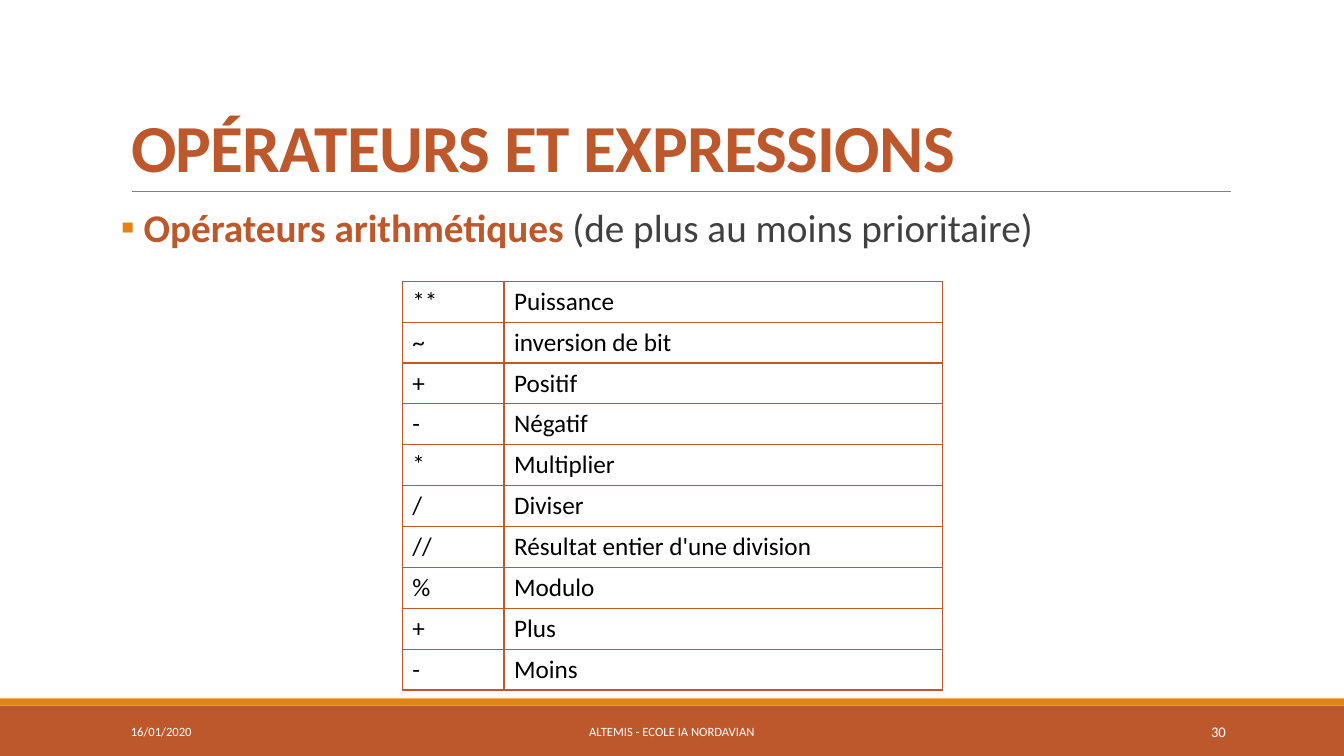
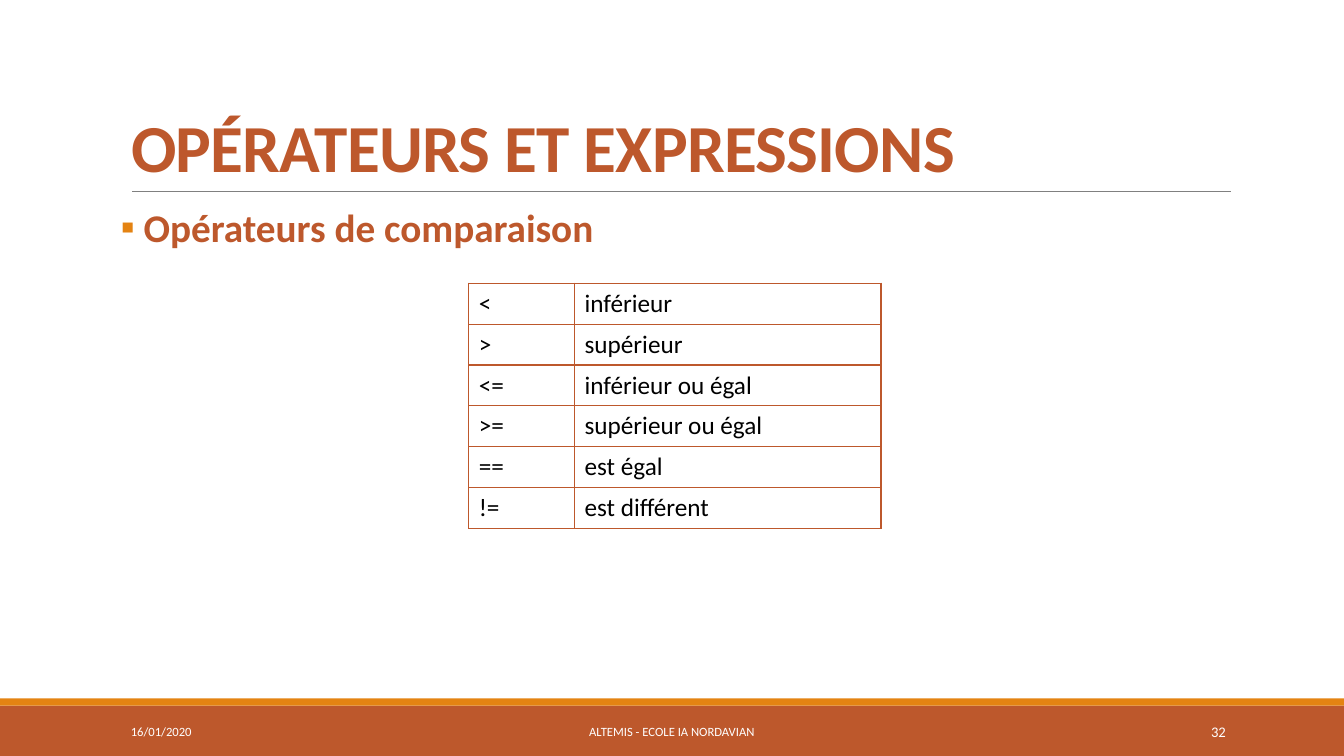
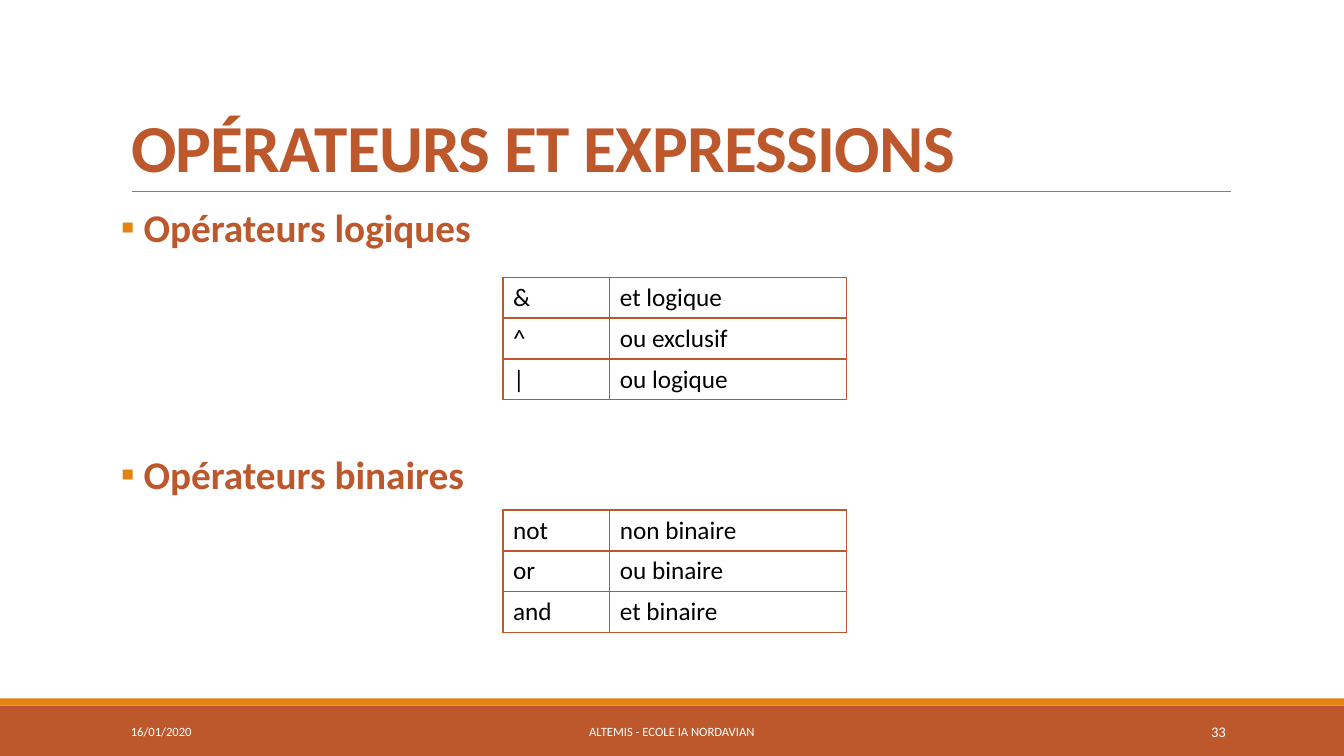
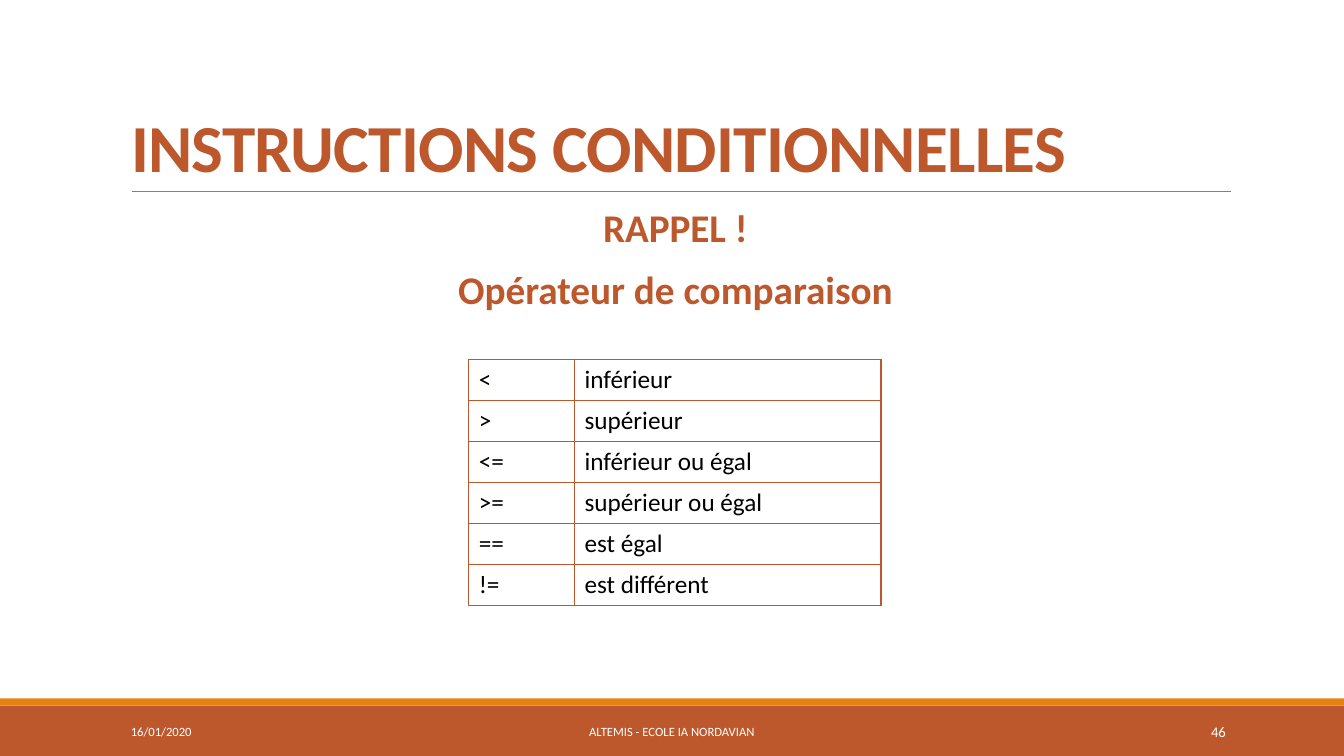
"""Build four slides on Python operators and conditions."""
from lxml import etree
from pptx import Presentation, util as u
from pptx.dml.color import RGBColor
from pptx.enum import shapes, text
from pptx.oxml import ns

RUST = RGBColor(0xBD, 0x58, 0x2C)
ORANGE = RGBColor(0xE4, 0x83, 0x12)
GREY = RGBColor(0x80, 0x80, 0x80)
DARK = RGBColor(0x40, 0x40, 0x40)
BLACK = RGBColor(0, 0, 0)
WHITE = RGBColor(0xFF, 0xFF, 0xFF)

FONT = "Calibri"
WIDTH, HEIGHT = u.Inches(13.33), u.Inches(7.5)
COLUMNS, ROWS = 40, 30
LEFT, SPAN = 3.6, 33
TABLE_ROW = u.Pt(29.2)
LEFT_ALIGN, CENTER, RIGHT = text.PP_ALIGN.LEFT, text.PP_ALIGN.CENTER, text.PP_ALIGN.RIGHT

COMPARISONS = [
    ("<", "inférieur"), (">", "supérieur"), ("<=", "inférieur ou égal"),
    (">=", "supérieur ou égal"), ("==", "est égal"), ("!=", "est différent"),
]
ARITHMETIC = [
    ("**", "Puissance"), ("~", "inversion de bit"), ("+", "Positif"),
    ("-", "Négatif"), ("*", "Multiplier"), ("/", "Diviser"),
    ("//", "Résultat entier d'une division"), ("%", "Modulo"),
    ("+", "Plus"), ("-", "Moins"),
]
LOGICAL = [("&", "et logique"), ("^", "ou exclusif"), ("|", "ou logique")]
BINARY = [("not", "non binaire"), ("or", "ou binaire"), ("and", "et binaire")]


def col(count):
    """Return the length of a number of grid columns."""
    return round(WIDTH * count / COLUMNS)


def row(count):
    """Return the length of a number of grid rows."""
    return round(HEIGHT * count / ROWS)


def area(left, top, width, height):
    """Return a grid area as slide lengths."""
    return col(left), row(top), col(width), row(height)


def write(para, words, size=18, color=BLACK, bold=False, align=LEFT_ALIGN, spacing=None):
    """Add a formatted span to a paragraph."""
    para.alignment = align
    span = para.add_run()
    span.text = words
    span.font.name, span.font.size, span.font.bold = FONT, u.Pt(size), bold
    span.font.color.rgb = color
    if spacing is not None:
        span.font._element.set("spc", str(spacing))


def child(parent, tag, **attributes):
    """Append a drawing element to a parent."""
    element = etree.SubElement(parent, ns.qn(tag))
    for name, value in attributes.items():
        element.set(name, str(value))
    return element


def add_text_box(page, *place):
    """Add an empty wrapping text box and return its frame."""
    frame = page.shapes.add_textbox(*area(*place)).text_frame
    frame.word_wrap = True
    return frame


def add_band(page, top, height, color):
    """Add a full-width coloured band."""
    band = page.shapes.add_shape(shapes.MSO_SHAPE.RECTANGLE, *area(0, top, COLUMNS, height))
    band.shadow.inherit = False
    band.fill.solid()
    band.fill.fore_color.rgb = color
    band.line.fill.background()
    return band


def add_rule(page):
    """Add the thin line under the title."""
    rule = page.shapes.add_connector(
        shapes.MSO_CONNECTOR.STRAIGHT, col(3.93), row(7.6), col(36.63), row(7.6))
    rule.line.color.rgb, rule.line.width = GREY, u.Pt(0.5)
    child(rule.element.spPr, "a:effectLst")
    return rule


def decorate_layout(layout, page):
    """Draw the shared bands and rule, and move them to the layout."""
    for shape in (add_band(page, 28, 2, RUST), add_band(page, 27.72, 0.28, ORANGE),
                  add_rule(page)):
        layout.shapes.element.append(shape.element)


def set_title(page, words):
    """Place and format the title placeholder."""
    title = page.shapes.title
    title.left, title.top, title.width, title.height = area(LEFT, 1.24, SPAN, 6.36)
    frame = title.text_frame
    frame.auto_size = text.MSO_AUTO_SIZE.NONE
    frame.vertical_anchor = text.MSO_ANCHOR.BOTTOM
    para = frame.paragraphs[0]
    para.line_spacing = 0.85
    write(para, words, size=48, color=RUST, bold=True, spacing=-50)


def add_footer(page, number):
    """Add the date, the school name and the page number."""
    for left, width, words, size, align in (
            (LEFT, 8.1, "16/01/2020", 9, LEFT_ALIGN),
            (12.09, 15.81, "ALTEMIS - ECOLE IA NORDAVIAN", 9, CENTER),
            (32.49, 4.29, str(number), 10.5, RIGHT)):
        frame = add_text_box(page, left, 28.24, width, 1.6)
        frame.vertical_anchor = text.MSO_ANCHOR.MIDDLE
        write(frame.paragraphs[0], words, size=size, color=WHITE, align=align)


def add_bullet(para):
    """Give a paragraph a small square bullet."""
    props = para._p.get_or_add_pPr()
    props.set("marL", str(u.Inches(0.1)))
    props.set("indent", str(-u.Inches(0.1)))
    child(child(props, "a:buClr"), "a:srgbClr", val=ORANGE)
    child(props, "a:buFont", typeface=FONT)
    child(props, "a:buChar", char="▪")


def add_headings(page, headings, remark="", bullets=True, gap=12):
    """Add the body headings, the last with an optional remark."""
    frame = add_text_box(page, LEFT, 8.08, SPAN, 17.96)
    frame.margin_left = frame.margin_right = 0
    for index, heading in enumerate(headings):
        para = frame.add_paragraph() if index else frame.paragraphs[0]
        para.line_spacing = 0.9
        para.space_before, para.space_after = u.Pt(gap if index else 12), u.Pt(2)
        if bullets:
            add_bullet(para)
            heading = " " + heading
        write(para, heading, size=28, color=RUST, bold=True,
              align=LEFT_ALIGN if bullets else CENTER)
    if remark:
        write(para, " " + remark, size=28, color=DARK)


def format_cell(cell, words):
    """Fill, border and write one table cell."""
    cell.vertical_anchor = text.MSO_ANCHOR.MIDDLE
    props = cell._tc.get_or_add_tcPr()
    for side in "LRTB":
        border = child(props, f"a:ln{side}", w=u.Pt(0.96))
        child(child(border, "a:solidFill"), "a:srgbClr", val=RUST)
    cell.fill.solid()
    cell.fill.fore_color.rgb = WHITE
    write(cell.text_frame.paragraphs[0], words)


def add_operators(page, operators, left, top, widths):
    """Add a table of operators and their meanings."""
    frame = page.shapes.add_table(len(operators), len(widths), col(left), row(top),
                                  col(sum(widths)), TABLE_ROW * len(operators))
    table = frame.table
    table.first_row = table.horz_banding = False
    for column, width in zip(table.columns, widths):
        column.width = col(width)
    for line, entries in zip(table.rows, operators):
        line.height = TABLE_ROW
        for cell, words in zip(line.cells, entries):
            format_cell(cell, words)


def add_page(deck, title, number):
    """Add a slide with its title and footer."""
    page = deck.slides.add_slide(deck.slide_layouts.get_by_name("Title Only"))
    set_title(page, title)
    add_footer(page, number)
    return page


def main():
    """Build and save the deck."""
    deck = Presentation()
    deck.slide_width, deck.slide_height = WIDTH, HEIGHT
    operators_title = "OPÉRATEURS ET EXPRESSIONS"

    page = add_page(deck, operators_title, 30)
    decorate_layout(page.slide_layout, page)
    add_headings(page, ["Opérateurs arithmétiques"], remark="(de plus au moins prioritaire)")
    add_operators(page, ARITHMETIC, 11.97, 11.16, (3.03, 13.05))

    page = add_page(deck, operators_title, 32)
    add_headings(page, ["Opérateurs de comparaison"])
    add_operators(page, COMPARISONS, 13.95, 11.24, (3.15, 9.12))

    page = add_page(deck, operators_title, 33)
    add_headings(page, ["Opérateurs logiques", "Opérateurs binaires"], gap=144)
    for operators, top in ((LOGICAL, 11), (BINARY, 20.24)):
        add_operators(page, operators, 14.97, top, (3.18, 7.05))

    page = add_page(deck, "INSTRUCTIONS CONDITIONNELLES", 46)
    add_headings(page, ["RAPPEL !", "Opérateur de comparaison"], bullets=False)
    add_operators(page, COMPARISONS, 13.95, 14.28, (3.15, 9.12))

    deck.save("out.pptx")


if __name__ == "__main__":
    main()
